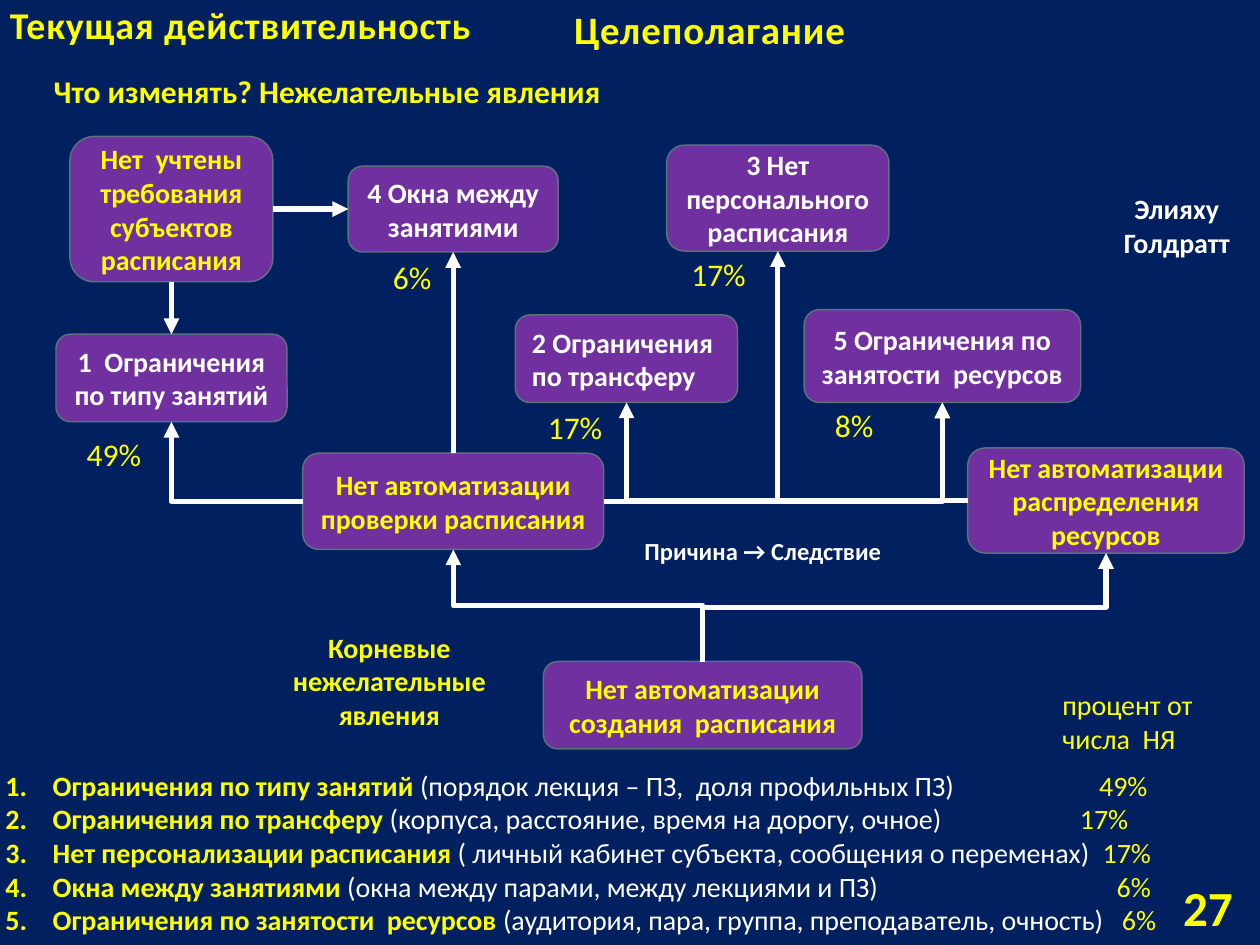
from lxml import etree
from pptx import Presentation
from pptx.dml.color import RGBColor
from pptx.enum.shapes import MSO_CONNECTOR as Connector, MSO_SHAPE as Shape
from pptx.enum.text import MSO_ANCHOR as Anchor, MSO_AUTO_SIZE as AutoSize, PP_ALIGN as Align
from pptx.oxml.ns import qn
from pptx.util import Pt

NAVY = RGBColor(0x00, 0x20, 0x60)
PURPLE = RGBColor(0x70, 0x30, 0xA0)
SLATE = RGBColor(0x5D, 0x70, 0x80)
YELLOW = RGBColor(0xFF, 0xFF, 0x00)
WHITE = RGBColor(0xFF, 0xFF, 0xFF)
FONT = "Calibri"
TOP, LEFT, BOTTOM, RIGHT = range(4)

# Content: boxes of the cause-and-effect tree (text, place, colour, alignment)
BOXES = {
    "personal": ("3 Нет персонального расписания", (381, 83, 127, 60.5), WHITE, Align.CENTER),
    "windows": ("4 Окна между занятиями", (199, 95, 120, 49), WHITE, Align.CENTER),
    "resources": ("5 Ограничения по занятости  ресурсов", (459.5, 177, 158, 53), WHITE, Align.CENTER),
    "transfer": ("2 Ограничения по трансферу", (294.5, 180, 127, 50), WHITE, Align.LEFT),
    "types": ("1  Ограничения по типу занятий", (32, 191, 132, 50), WHITE, Align.CENTER),
    "needs": ("Нет  учтены требования субъектов расписания", (40, 78, 116, 83), YELLOW, Align.CENTER),
    "allocation": ("Нет автоматизации распределения ресурсов", (553, 256, 158, 60), YELLOW, Align.CENTER),
    "checking": ("Нет автоматизации проверки расписания", (173, 259, 172, 55), YELLOW, Align.CENTER),
    "creation": ("Нет автоматизации создания  расписания", (310.5, 378, 182, 50), YELLOW, Align.CENTER),
}

# Effect (arrow tip) and its side, cause and its side, connector preset
STRAIGHT, CORNER, STEP = "straightConnector1", "bentConnector2", "bentConnector3"
LINKS = [
    ("allocation", BOTTOM, "creation", TOP, STEP),
    ("checking", BOTTOM, "creation", TOP, STEP),
    ("types", BOTTOM, "checking", LEFT, CORNER),
    ("resources", BOTTOM, "checking", RIGHT, CORNER),
    ("transfer", BOTTOM, "allocation", LEFT, CORNER),
    ("personal", BOTTOM, "allocation", LEFT, CORNER),
    ("resources", BOTTOM, "allocation", LEFT, CORNER),
    ("types", TOP, "needs", BOTTOM, STRAIGHT),
    ("windows", BOTTOM, "checking", TOP, STRAIGHT),
    ("windows", LEFT, "needs", RIGHT, STRAIGHT),
]

# Free labels: text, place, size, colour, bold, alignment
LABELS = [
    ("Корневые нежелательные явления", (146, 356.5, 153, 65.5), 16, YELLOW, True, Align.CENTER),
    ("Что изменять? Нежелательные явления", (1.5, 37.5, 371, 29), 18, YELLOW, True, Align.CENTER),
    ("Элияху Голдратт", (633.5, 106, 78, 46), 16, WHITE, True, Align.CENTER),
    ("Причина → Следствие", (354, 303, 164, 24.5), 14, WHITE, True, Align.CENTER),
    ("процент от\nчисла  НЯ", (600, 389.5, 95, 46), 16, YELLOW, False, Align.LEFT),
]
SHARES = [("49%", 42.5, 245), ("17%", 306, 229.5), ("17%", 388, 142),
          ("8%", 470, 228.5), ("6%", 217.5, 144)]

# Numbered list: effect, explanation, share, tab position of the share
EFFECTS = [
    ("Ограничения по типу занятий ", "(порядок лекция – ПЗ,  доля профильных ПЗ)", "49%", 625),
    ("Ограничения по трансферу ", "(корпуса, расстояние, время на дорогу, очное)", "17%", 614),
    ("Нет персонализации расписания ", "( личный кабинет субъекта, сообщения о переменах)", "17%", 627),
    ("Окна между занятиями ", "(окна между парами, между лекциями и ПЗ)", "6%", 635),
    ("Ограничения по занятости  ресурсов ", "(аудитория, пара, группа, преподаватель, очность)", "6%", 638),
]


def style(span, size, color, bold):
    span.font.name = FONT
    span.font.size = Pt(size)
    span.font.bold = bold
    span.font.color.rgb = color


def write(box, text, size, color, bold, align, anchor=Anchor.TOP, wrap=True):
    frame = box.text_frame
    frame.text = text
    frame.word_wrap = wrap
    frame.auto_size = AutoSize.NONE
    frame.vertical_anchor = anchor
    for para in frame.paragraphs:
        para.alignment = align
        for span in para.runs:
            style(span, size, color, bold)


def add_label(page, text, place, *look, **options):
    box = page.shapes.add_textbox(*map(Pt, place))
    write(box, text, *look, **options)
    return box


def add_heading(box, text, size):
    write(box, text, size, YELLOW, True, Align.LEFT, Anchor.MIDDLE, wrap=False)
    box.text_frame.paragraphs[0].runs[0].font._element.set("spc", "50")


def add_node(page, text, place, color, align):
    box = page.shapes.add_shape(Shape.ROUNDED_RECTANGLE, *map(Pt, place))
    box.shadow.inherit = False
    box.fill.solid()
    box.fill.fore_color.rgb = PURPLE
    box.line.color.rgb = SLATE
    box.line.width = Pt(0.85)
    write(box, text, 16, color, True, align, Anchor.MIDDLE)
    return box


def turn_downwards(link):
    """Make the elbow leave its start vertically: swap its sides and rotate it."""
    rightwards = link.end_x > link.begin_x
    left, top, width, height = link.left, link.top, link.width, link.height
    link.left, link.top = left + (width - height) // 2, top + (height - width) // 2
    link.width, link.height = height, width
    frame = link._element.spPr.find(qn("a:xfrm"))
    for flip in ("flipH", "flipV"):
        frame.attrib.pop(flip, None)
    frame.set("rot", str((270 if rightwards else 90) * 60000))
    if rightwards:
        frame.set("flipH", "1")


def add_link(page, effect, effect_side, cause, cause_side, preset):
    kind = Connector.STRAIGHT if preset == STRAIGHT else Connector.ELBOW
    link = page.shapes.add_connector(kind, 0, 0, 0, 0)
    link.begin_connect(effect, effect_side)
    link.end_connect(cause, cause_side)
    link.line.color.rgb = WHITE
    link.line.width = Pt(3)
    properties = link._element.spPr
    etree.SubElement(properties.find(qn("a:ln")), qn("a:headEnd"), type="triangle")
    etree.SubElement(properties, qn("a:effectLst"))
    if preset != STRAIGHT:
        properties.find(qn("a:prstGeom")).set("prst", preset)
        turn_downwards(link)


def add_effects(page):
    box = page.shapes.add_textbox(Pt(-4), Pt(435.5), Pt(688), Pt(104.5))
    frame = box.text_frame
    frame.word_wrap = True
    for index, (name, detail, share, stop) in enumerate(EFFECTS):
        para = frame.paragraphs[0] if index == 0 else frame.add_paragraph()
        layout = para._p.get_or_add_pPr()
        layout.set("marL", str(Pt(27)))
        layout.set("indent", str(-Pt(27)))
        etree.SubElement(layout, qn("a:buAutoNum"), type="arabicPeriod")
        stops = etree.SubElement(layout, qn("a:tabLst"))
        etree.SubElement(stops, qn("a:tab"), pos=str(Pt(stop)), algn="l")
        for text, color, bold in ((name, YELLOW, True), (detail, WHITE, False),
                                  ("\t" + share, YELLOW, False)):
            span = para.add_run()
            span.text = text
            style(span, 16, color, bold)


def main():
    deck = Presentation()
    deck.slide_width, deck.slide_height = Pt(720), Pt(540)
    page = deck.slides.add_slide(deck.slide_layouts[5])
    page.background.fill.solid()
    page.background.fill.fore_color.rgb = NAVY

    # Headings
    title = page.shapes.title
    title.left, title.top, title.width, title.height = map(Pt, (-1.5, -3.5, 291.5, 34.5))
    add_heading(title, "Текущая действительность", 21.6)
    goal = page.shapes.add_textbox(Pt(321), Pt(0), Pt(175), Pt(32.5))
    add_heading(goal, "Целеполагание", 22.2)

    # Tree
    nodes = {key: add_node(page, *node) for key, node in BOXES.items()}
    for effect, effect_side, cause, cause_side, preset in LINKS:
        add_link(page, nodes[effect], effect_side, nodes[cause], cause_side, preset)

    # Labels, list and page number
    for label in LABELS:
        add_label(page, *label)
    for share, left, top in SHARES:
        add_label(page, share, (left, top, 50, 29), 18, YELLOW, False, Align.LEFT)
    add_effects(page)
    add_label(page, "27", (643, 503.5, 68.5, 29), 28, YELLOW, True, Align.RIGHT, anchor=Anchor.MIDDLE)

    deck.save("out.pptx")


if __name__ == "__main__":
    main()
